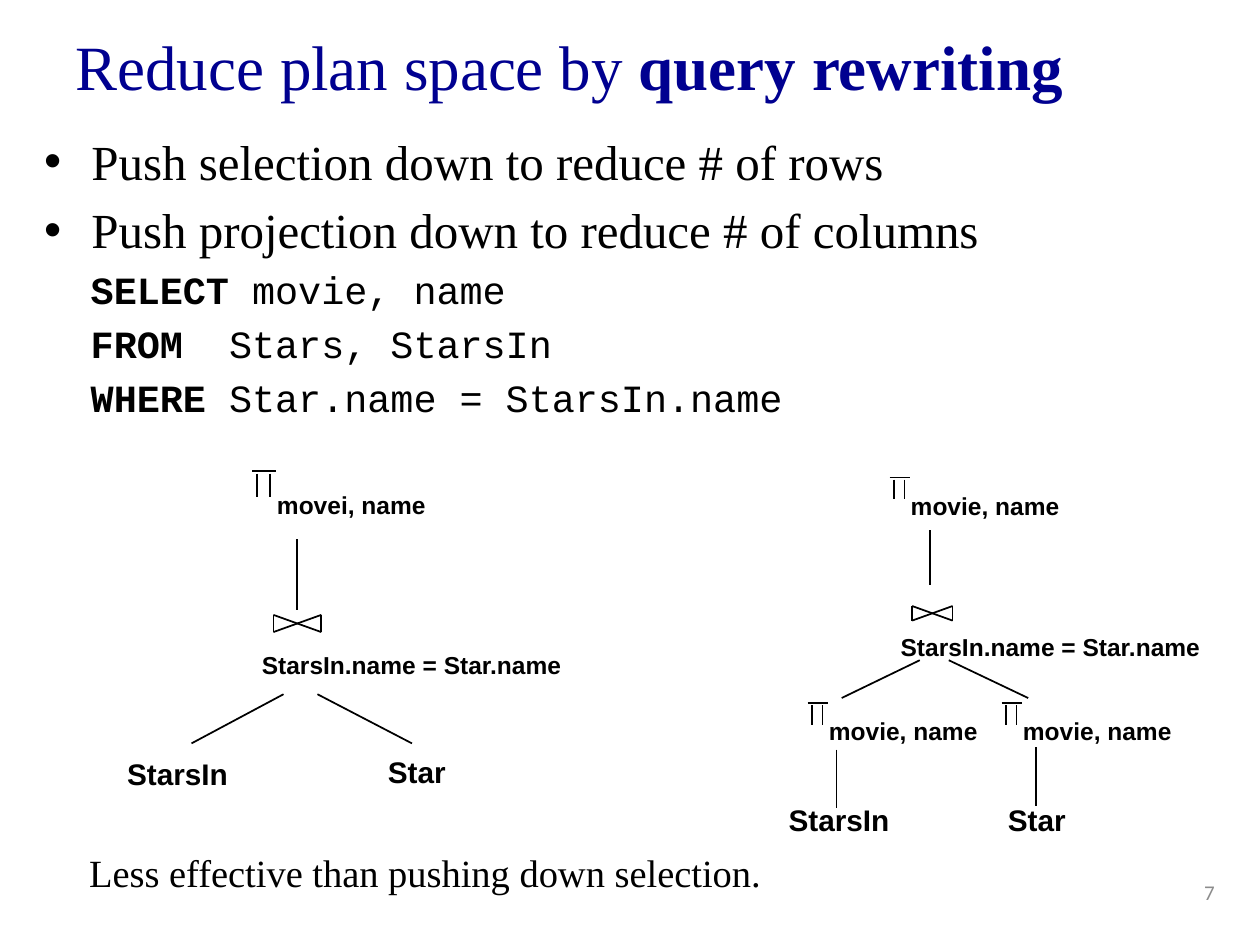
from typing import NamedTuple

from lxml.etree import SubElement
from pptx import Presentation
from pptx.dml.color import RGBColor
from pptx.enum.shapes import MSO_CONNECTOR as Link
from pptx.enum.text import MSO_ANCHOR as Anchor, MSO_AUTO_SIZE as Fit, PP_ALIGN as Align
from pptx.oxml.ns import qn
from pptx.util import Inches, Pt

BLACK, NAVY, GREY = "000000", "000090", "8C8C8C"
SERIF, SANS, MONO = "Times New Roman", "Arial", "Courier New"


class Label(NamedTuple):
    """A bold caption in a plan tree."""
    text: str
    left: float
    top: float
    wide: float
    size: int = 14


class Edge(NamedTuple):
    """A straight line from one point to another."""
    x1: float
    y1: float
    x2: float
    y2: float


class Sign(NamedTuple):
    """An operator sign: its top left corner and its width."""
    left: float
    top: float
    wide: float


class Plan(NamedTuple):
    """A query plan tree."""
    pis: list[Sign]
    join: Sign
    edges: list[Edge]
    labels: list[Label]


PLANS = [
    Plan([Sign(2, 3.74, 0.19)], Sign(2.17, 4.88, 0.38),
         [Edge(2.25, 5.51, 1.52, 5.9), Edge(2.52, 5.51, 3.27, 5.9),
          Edge(2.36, 4.28, 2.36, 4.84)],
         [Label("StarsIn", 0.91, 5.95, 1.01, 17), Label("Star", 2.98, 5.93, 0.67, 17),
          Label("StarsIn.name = Star.name", 1.98, 5.11, 2.6),
          Label("movei, name", 2.1, 3.84, 1.4)]),
    Plan([Sign(7.06, 3.79, 0.16), Sign(6.41, 5.58, 0.16), Sign(7.95, 5.58, 0.16)],
         Sign(7.24, 4.81, 0.32),
         [Edge(7.3, 5.24, 6.68, 5.54), Edge(7.53, 5.24, 8.16, 5.54),
          Edge(7.38, 4.21, 7.38, 4.64), Edge(6.64, 5.95, 6.64, 6.41),
          Edge(8.22, 5.93, 8.22, 6.4)],
         [Label("StarsIn", 6.16, 6.31, 1.01, 17), Label("Star", 7.9, 6.31, 0.67, 17),
          Label("StarsIn.name = Star.name", 7.05, 4.97, 2.6),
          Label("movie, name", 7.13, 3.85, 1.4),
          Label("movie, name", 6.48, 5.63, 1.4), Label("movie, name", 8.02, 5.63, 1.4)]),
]

POINTS = ["Push selection down to reduce # of rows",
          "Push projection down to reduce # of columns"]
CODE = [("SELECT ", "movie, name"), ("FROM  ", "Stars, StarsIn"),
        ("WHERE ", "Star.name = StarsIn.name")]


def paint(color, code: str) -> None:
    """Set a colour from a hex string."""
    color.rgb = RGBColor.from_string(code)


def put(item, **form) -> None:
    """Set each format value on an object."""
    for key, value in form.items():
        setattr(item, key, value)


def place(shape, left: float, top: float, wide: float, high: float) -> None:
    """Move and size a shape in inches."""
    put(shape, left=Inches(left), top=Inches(top), width=Inches(wide), height=Inches(high))


def write(para, text: str, face: str, size: int, code: str = BLACK, bold: bool = False) -> None:
    """Add a run of text to a paragraph."""
    run = para.add_run()
    run.text = text
    put(run.font, name=face, size=Pt(size), bold=bold)
    paint(run.font.color, code)


def box(slide, left: float, top: float, wide: float, high: float, wrap: bool = True):
    """Add a text box and return its frame."""
    frame = slide.shapes.add_textbox(*map(Inches, (left, top, wide, high))).text_frame
    put(frame, word_wrap=wrap, auto_size=Fit.NONE if wrap else Fit.SHAPE_TO_FIT_TEXT)
    return frame


def draw(slide, edge: Edge) -> None:
    """Draw a thin black line."""
    line = slide.shapes.add_connector(Link.STRAIGHT, *map(Inches, edge))
    line.line.width = Pt(1)
    paint(line.line.color, BLACK)
    SubElement(line._element.spPr, qn("a:effectLst"))


def pi_sign(slide, sign: Sign) -> None:
    """Draw a projection sign: a bar on two legs."""
    x, y, w = sign
    draw(slide, Edge(x, y, x + w, y))
    for share in (0.22, 0.74):
        leg = x + share * w
        draw(slide, Edge(leg, y + 0.1 * w, leg, y + 1.08 * w))


def join_sign(slide, sign: Sign) -> None:
    """Draw a join sign: two sides and two diagonals."""
    x, y, w = sign
    right, low = x + w, y + 0.36 * w
    for edge in (Edge(x, y, x, low), Edge(right, y, right, low),
                 Edge(x, y, right, low), Edge(x, low, right, y)):
        draw(slide, edge)


def tree(slide, plan: Plan) -> None:
    """Draw a whole plan tree."""
    for sign in plan.pis:
        pi_sign(slide, sign)
    join_sign(slide, plan.join)
    for edge in plan.edges:
        draw(slide, edge)
    for text, left, top, wide, size in plan.labels:
        high = 0.39 if size > 14 else 0.34
        frame = box(slide, left, top, wide, high, wrap=False)
        write(frame.paragraphs[0], text, SANS, size, bold=True)


def head(slide) -> None:
    """Fill the title."""
    title = slide.shapes.title
    place(title, 0.5, 0.05, 9.3, 0.94)
    put(title.text_frame, vertical_anchor=Anchor.MIDDLE, auto_size=Fit.NONE)
    para = title.text_frame.paragraphs[0]
    para.alignment = Align.LEFT
    write(para, "Reduce plan space by ", SERIF, 36, NAVY)
    write(para, "query rewriting", SERIF, 36, NAVY, True)


def body(slide) -> None:
    """Fill the list with points and the query."""
    shape = slide.placeholders[1]
    place(shape, 0.25, 0.99, 9.55, 2.58)
    frame = shape.text_frame
    frame.auto_size = Fit.NONE
    for i, text in enumerate(POINTS):
        para = frame.add_paragraph() if i else frame.paragraphs[0]
        write(para, text, SERIF, 28)
    for word, rest in CODE:
        para = frame.add_paragraph()
        props = para._p.get_or_add_pPr()
        props.set("marL", str(Inches(0.37)))
        props.set("indent", "0")
        SubElement(props, qn("a:buNone"))
        write(para, word, MONO, 22, bold=True)
        write(para, rest, MONO, 22)


def main() -> None:
    """Build and save the slide."""
    deck = Presentation()
    put(deck, slide_width=Inches(10), slide_height=Inches(7.5))
    slide = deck.slides.add_slide(deck.slide_layouts[1])
    head(slide)
    body(slide)
    for plan in PLANS:
        tree(slide, plan)
    note = box(slide, 0.61, 6.69, 6.57, 0.47)
    write(note.paragraphs[0], "Less effective than pushing down selection.", SERIF, 22)
    page = box(slide, 7.41, 6.88, 2.33, 0.4)
    page.vertical_anchor = Anchor.MIDDLE
    page.paragraphs[0].alignment = Align.RIGHT
    write(page.paragraphs[0], "7", "Calibri", 12, GREY)
    deck.save("out.pptx")


main()
